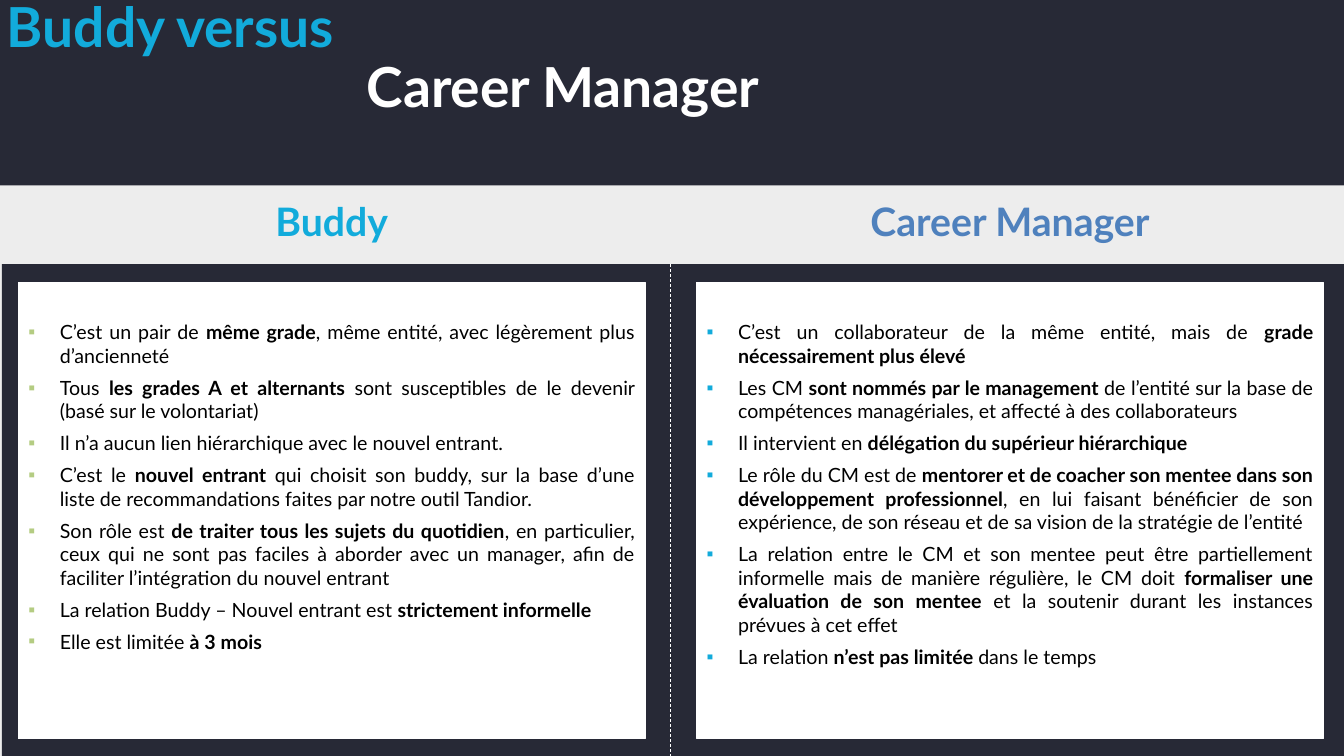
from lxml import etree
from pptx import Presentation
from pptx import util as u
from pptx.dml.color import RGBColor
from pptx.enum import dml, shapes, text
from pptx.oxml import ns

Pt = u.Pt
COLORS = {"navy": "272936", "grey": "EDEDED", "white": "FFFFFF", "black": "000000",
          "cyan": "12ABDB", "blue": "4F81BD", "green": "B4CC82"}

# Column: heading, heading colour, bullet colour, box left, points (bold between asterisks)
COLUMNS = [
    ("Buddy", "cyan", "green", 13, [
        "C’est un pair de *même grade*, même entité, avec légèrement plus d’ancienneté",
        "Tous *les grades A et alternants *sont susceptibles de le devenir (basé sur le volontariat)",
        "Il n’a aucun lien hiérarchique avec le nouvel entrant.",
        "C’est le *nouvel entrant *qui choisit son buddy, sur la base d’une liste de "
        "recommandations faites par notre outil Tandior.",
        "Son rôle est *de traiter tous les sujets du quotidien*, en particulier, ceux qui ne sont "
        "pas faciles à aborder avec un manager, afin de faciliter l’intégration du nouvel entrant",
        "La relation Buddy – Nouvel entrant est *strictement informelle*",
        "Elle est limitée *à 3 mois*",
    ]),
    ("Career Manager", "blue", "cyan", 497.5, [
        "C’est un collaborateur de la même entité, mais de *grade nécessairement plus élevé*",
        "Les CM *sont nommés par le management *de l’entité sur la base de compétences "
        "managériales, et affecté à des collaborateurs",
        "Il intervient en *délégation du supérieur hiérarchique*",
        "Le rôle du CM est de *mentorer et de coacher son mentee dans son développement "
        "professionnel*, en lui faisant bénéficier de son expérience, de son réseau et de sa "
        "vision de la stratégie de l’entité",
        "La relation entre le CM et son mentee peut être partiellement informelle mais de manière "
        "régulière, le CM doit *formaliser une évaluation de son mentee *et la soutenir durant "
        "les instances prévues à cet effet",
        "La relation *n’est pas limitée *dans le temps",
    ]),
]


def place(holder, left, top, width, height, anchor, insets):
    holder.left, holder.top, holder.width, holder.height = map(Pt, (left, top, width, height))
    frame = holder.text_frame
    frame.word_wrap = True
    frame.auto_size = text.MSO_AUTO_SIZE.NONE
    frame.vertical_anchor = anchor
    (frame.margin_left, frame.margin_top,
     frame.margin_right, frame.margin_bottom) = map(Pt, insets)
    return frame


def style(paragraph, size, color, align, bold=None):
    paragraph.alignment = align
    paragraph.font.name = "Lato"
    paragraph.font.size = Pt(size)
    paragraph.font.bold = bold
    paragraph.font.color.rgb = RGBColor.from_string(COLORS[color])


deck = Presentation()
deck.slide_width, deck.slide_height = Pt(960), Pt(540)
slide = deck.slides.add_slide(deck.slide_layouts[4])
title, *holders = slide.placeholders
slide.background.fill.solid()
slide.background.fill.fore_color.rgb = RGBColor.from_string(COLORS["grey"])

# Dark bands behind the text
for left, top, width, height in [(0, 0, 960, 132.5), (1.4, 188.6, 958.6, 351.4)]:
    band = slide.shapes.add_shape(shapes.MSO_SHAPE.RECTANGLE, Pt(left), Pt(top), Pt(width), Pt(height))
    band.shadow.inherit = False
    band.fill.solid()
    band.fill.fore_color.rgb = RGBColor.from_string(COLORS["navy"])
    band.line.fill.background()
    title._element.addprevious(band._element)

# Title on two lines, the second indented
HEADING_INSETS = (1.4, 3.6, 1.4, 0)
title_frame = place(title, 3.6, -4.3, 593.3, 89.3, text.MSO_ANCHOR.BOTTOM, HEADING_INSETS)
title_frame.text = "Buddy versus\nCareer Manager"
for line, color, indent in zip(title_frame.paragraphs, ("cyan", "white"), (0, 257)):
    line._p.get_or_add_pPr().set("marL", str(Pt(indent)))
    line.line_spacing = 0.9
    style(line, 39.4, color, text.PP_ALIGN.LEFT, True)

# Two columns: heading and white box of points
for (heading, color, bullet_color, left, points), heading_holder, box in zip(
        COLUMNS, holders[::2], holders[1::2]):
    heading_frame = place(heading_holder, left + 111.6, 141.1, 224.6, 33.8,
                          text.MSO_ANCHOR.BOTTOM, HEADING_INSETS)
    heading_frame.text = heading
    heading_line = heading_frame.paragraphs[0]
    heading_line.line_spacing = 0.9
    heading_line.space_before = Pt(0)
    style(heading_line, 28, color, text.PP_ALIGN.CENTER, True)

    box.fill.solid()
    box.fill.fore_color.rgb = box.line.color.rgb = RGBColor.from_string(COLORS["white"])
    box.line.width = Pt(0.75)
    box_frame = place(box, left, 201.6, 447.8, 326.2, text.MSO_ANCHOR.TOP, (7.2, 27, 7.2, 3.6))
    for number, point in enumerate(points):
        item = box_frame.add_paragraph() if number else box_frame.paragraphs[0]
        props = item._p.get_or_add_pPr()
        props.set("marL", str(Pt(22.5)))
        props.set("indent", str(-Pt(22.5)))
        bullet = etree.SubElement(props, ns.qn("a:buClr"))
        etree.SubElement(bullet, ns.qn("a:srgbClr"), val=COLORS[bullet_color])
        etree.SubElement(props, ns.qn("a:buChar"), char="▪")
        item.space_before = Pt(6 if number else 0)
        style(item, 14, "black", text.PP_ALIGN.JUSTIFY)
        for index, part in enumerate(point.split("*")):
            if part:
                run = item.add_run()
                run.text = part
                if index % 2:
                    run.font.bold = True

# Dashed divider between the columns
divider = slide.shapes.add_connector(shapes.MSO_CONNECTOR.STRAIGHT, Pt(478.8), Pt(188.6), Pt(478.8), Pt(540))
divider.line.color.rgb = RGBColor.from_string(COLORS["white"])
divider.line.width = Pt(0.5)
divider.line.dash_style = dml.MSO_LINE.DASH
etree.SubElement(divider._element.spPr, ns.qn("a:effectLst"))

deck.save("out.pptx")
